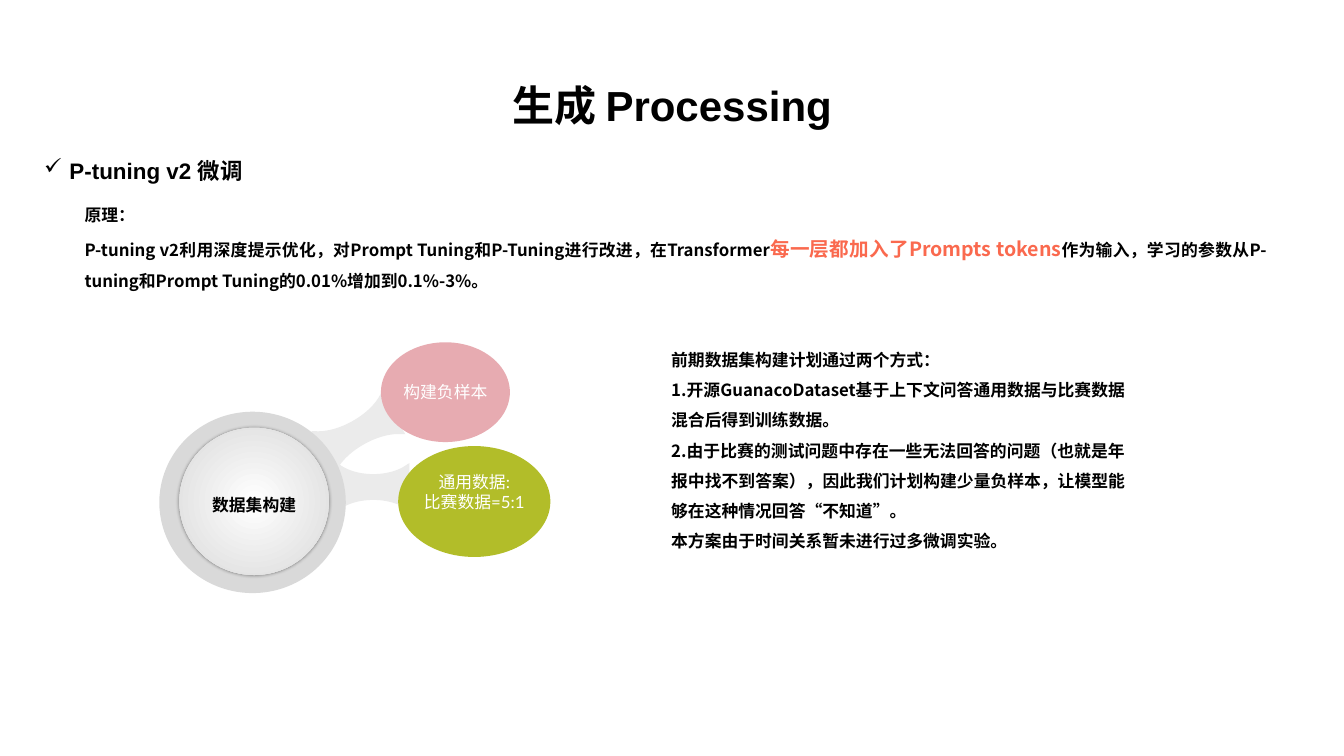
from lxml.etree import SubElement
from pptx import Presentation
from pptx.dml.color import RGBColor
from pptx.enum.shapes import MSO_SHAPE
from pptx.enum.text import MSO_ANCHOR, MSO_AUTO_SIZE, PP_ALIGN as ALIGN
from pptx.oxml.ns import qn
from pptx.util import Cm, Pt

COLORS = {"black": "000000", "white": "FFFFFF", "accent": "FA694E", "link": "EBEBEB",
          "ring": "D9D9D9", "green": "B2BD29", "pink": "E7ABB1"}
CJK_FONT = "Noto Sans CJK SC"

# A paragraph is a list of runs; a run is (text, size, colour).
TITLE = [[("生成 Processing", 60, "black")]]
HEADING = [[("P-tuning v2 微调", 32, "black")]]
PRINCIPLE = [
    [("原理：", 24, "black")],
    [("P-tuning v2利用深度提示优化，对Prompt Tuning和P-Tuning进行改进，在Transformer", 24, "black"),
     ("每一层都加入了Prompts tokens", 28, "accent"),
     ("作为输入，学习的参数从P-tuning和Prompt Tuning的0.01%增加到0.1%-3%。", 24, "black")],
]
PLAN = [[(text, 24, "black")] for text in (
    "前期数据集构建计划通过两个方式：",
    "1.开源GuanacoDataset基于上下文问答通用数据与比赛数据混合后得到训练数据。",
    "2.由于比赛的测试问题中存在一些无法回答的问题（也就是年报中找不到答案），"
    "因此我们计划构建少量负样本，让模型能够在这种情况回答“不知道”。",
    "本方案由于时间关系暂未进行过多微调实验。",
)]
HUB = [[("数据集构建", 24, "black")]]
MIXED_DATA = [[("通用数据:", 24, "white")], [("比赛数据=5:1", 24, "white")]]
NEGATIVES = [[("构建负样本", 24, "white")]]

# Left, top, width, height in cm, then rotation
LINKS = [(16.03, 20.6, 4.06, 2.41, 331), (16.99, 23.34, 3.65, 2.41, 0)]
# Left half of a link's upper edge, as fractions of its size: start, then one Bezier curve
LINK_EDGE = [(0.035, 0.03), (0.15, 0.16), (0.32, 0.23), (0.5, 0.23)]
CURVE_STEPS = 12


def rgb(name):
    return RGBColor.from_string(COLORS[name])


def write(frame, paragraphs, font, bold=False, align=ALIGN.CENTER, spacing=None):
    frame.word_wrap = True
    for index, runs in enumerate(paragraphs):
        para = frame.paragraphs[0] if index == 0 else frame.add_paragraph()
        para.alignment = align
        if spacing:
            para.line_spacing = spacing
        for text, size, color in runs:
            run = para.add_run()
            run.text = text
            run.font.name, run.font.size, run.font.bold = font, Pt(size), bold
            run.font.color.rgb = rgb(color)
            SubElement(run.font._element, qn("a:ea"), typeface=CJK_FONT)


def add_text(slide, place, paragraphs, font, align, spacing):
    box = slide.shapes.add_textbox(*map(Cm, place))
    write(box.text_frame, paragraphs, font, True, align, spacing)
    return box


def paint(shape, color):
    shape.shadow.inherit = False
    shape.fill.solid()
    shape.fill.fore_color.rgb = rgb(color)
    shape.line.fill.background()


def add_ellipse(slide, place, color, paragraphs=(), bottom=0, **style):
    shape = slide.shapes.add_shape(MSO_SHAPE.OVAL, *map(Cm, place))
    paint(shape, color)
    frame = shape.text_frame
    frame.vertical_anchor = MSO_ANCHOR.MIDDLE
    frame.margin_left = frame.margin_right = frame.margin_top = 0
    frame.margin_bottom = Cm(bottom)
    write(frame, paragraphs, "Lato", **style)
    return shape


def bezier(points, t):
    weights = ((1 - t) ** 3, 3 * t * (1 - t) ** 2, 3 * t * t * (1 - t), t ** 3)
    return tuple(sum(w * p[axis] for w, p in zip(weights, points)) for axis in (0, 1))


def add_link(slide, left, top, width, height, rotation):
    """Add a waisted band, mirrored from one quarter of its outline."""
    quarter = [(0, 0)] + [bezier(LINK_EDGE, i / CURVE_STEPS) for i in range(CURVE_STEPS + 1)]
    upper = quarter + [(1 - x, y) for x, y in reversed(quarter[:-1])]
    outline = upper + [(x, 1 - y) for x, y in reversed(upper)]
    points = [(Cm(left + x * width), Cm(top + y * height)) for x, y in outline]
    builder = slide.shapes.build_freeform(*points[0])
    builder.add_line_segments(points[1:], close=True)
    shape = builder.convert_to_shape()
    shape.rotation = rotation
    paint(shape, "link")


def add_glow(shape):
    """Give the shape a radial gradient and a soft shadow on all sides."""
    shape.fill.gradient()
    for stop, position, color in zip(shape.fill.gradient_stops, (0, 1), ("white", "ring")):
        stop.position = position
        stop.color.rgb = rgb(color)
    properties = shape._element.spPr
    gradient = properties.find(qn("a:gradFill"))
    gradient.remove(gradient.find(qn("a:lin")))
    radial = SubElement(gradient, qn("a:path"), {"path": "circle"})
    SubElement(radial, qn("a:fillToRect"), dict.fromkeys("ltrb", "50000"))
    shadow = SubElement(properties.find(qn("a:effectLst")), qn("a:outerShdw"),
                        blurRad=str(Pt(5)), dist="0", dir="0", algn="ctr", rotWithShape="0")
    color = SubElement(shadow, qn("a:srgbClr"), val=COLORS["black"])
    SubElement(color, qn("a:alpha"), val="40000")


def add_check_bullet(para):
    properties = para._p.get_or_add_pPr()
    properties.set("marL", str(Cm(1.27)))
    properties.set("indent", str(-Cm(1.27)))
    SubElement(properties, qn("a:buChar"), char="✓")


def main():
    deck = Presentation()
    deck.slide_width, deck.slide_height = Cm(67.74), Cm(38.1)
    slide = deck.slides.add_slide(deck.slide_layouts[5])

    title = slide.shapes.title
    title.left, title.top, title.width, title.height = map(Cm, (0, 3.89, 67.74, 2.82))
    title.text_frame.auto_size = MSO_AUTO_SIZE.NONE
    title.text_frame.vertical_anchor = MSO_ANCHOR.TOP
    write(title.text_frame, TITLE, "Arial", bold=True)

    heading = add_text(slide, (1.98, 7.52, 56.44, 1.9), HEADING, "Arial", ALIGN.LEFT, 1.2)
    add_check_bullet(heading.text_frame.paragraphs[0])
    add_text(slide, (4.01, 9.7, 60.05, 5.13), PRINCIPLE, CJK_FONT, ALIGN.JUSTIFY, 1.5)
    add_text(slide, (33.58, 16.99, 23.37, 11.02), PLAN, CJK_FONT, ALIGN.JUSTIFY, 1.5)

    for link in LINKS:
        add_link(slide, *link)
    add_ellipse(slide, (8.03, 20.75, 9.4, 9.14), "ring")
    add_glow(add_ellipse(slide, (9.04, 21.56, 7.54, 7.42), "ring", HUB, bold=True, spacing=1.3))
    add_ellipse(slide, (20.07, 22.48, 7.67, 5.59), "green", MIXED_DATA, bottom=1)
    add_ellipse(slide, (19.2, 17.25, 6.5, 5.03), "pink", NEGATIVES)

    deck.save("out.pptx")


if __name__ == "__main__":
    main()
